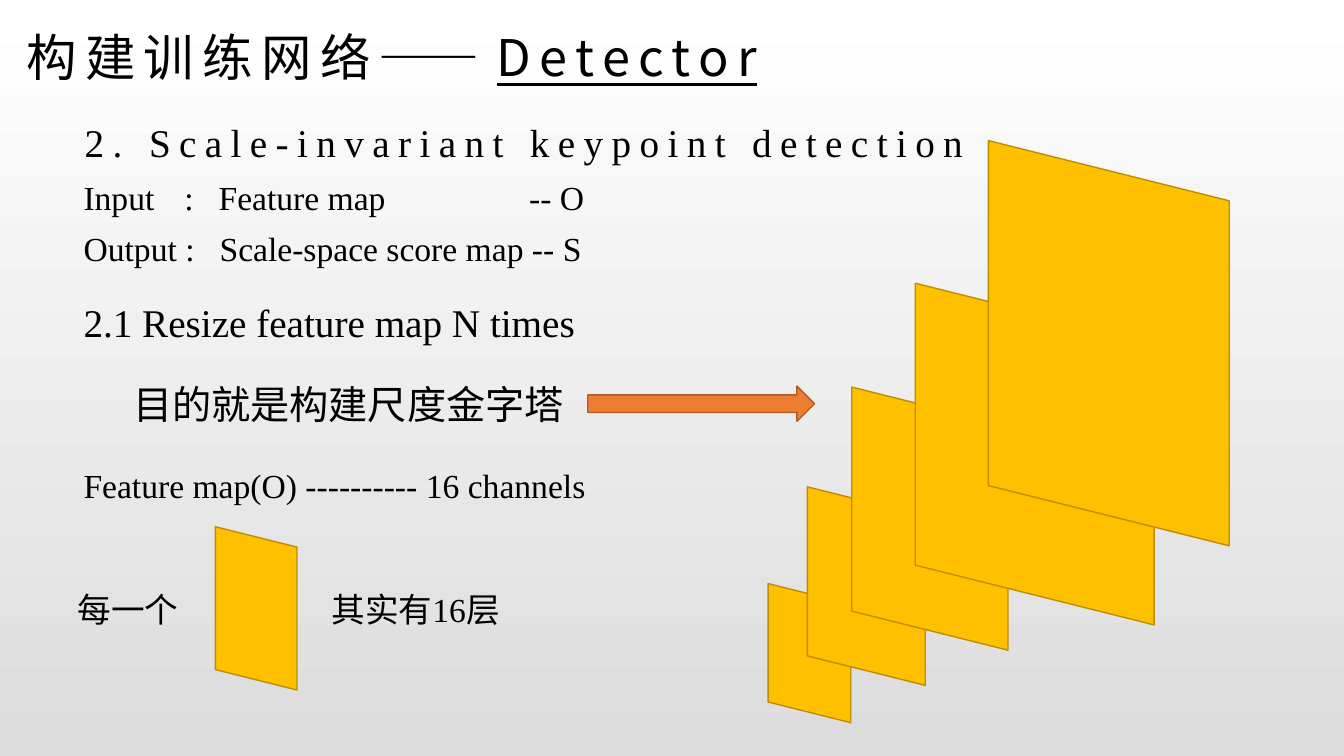
import dataclasses

import lxml.etree
import pptx
import pptx.dml.color
import pptx.enum.shapes
import pptx.enum.text
import pptx.oxml.ns
import pptx.util

COLORS = {
    "text": "000000",
    "layer": "FFC000",
    "layer edge": "BD8E00",
    "arrow": "ED7D31",
    "arrow edge": "AF5C24",
    "sky": "FFFFFF",
    "ground": "DCDCDC",
}
SANS, SERIF = "Noto Sans CJK SC", "Times New Roman"
SHAPES = pptx.enum.shapes.MSO_SHAPE


@dataclasses.dataclass
class Box:
    """A rectangle in inches."""
    left: float
    top: float
    width: float
    height: float

    def share(self, left, top, width, height):
        """Return an inner box given in percent of this one."""
        return Box(self.left + self.width * left / 100,
                   self.top + self.height * top / 100,
                   self.width * width / 100,
                   self.height * height / 100)

    def turned(self):
        """Return the box that covers this one after a quarter turn."""
        shift = (self.width - self.height) / 2
        return Box(self.left + shift, self.top - shift, self.height, self.width)

    def lengths(self):
        return [pptx.util.Inches(value) for value in dataclasses.astuple(self)]


def rgb(name):
    return pptx.dml.color.RGBColor.from_string(COLORS[name])


def add_child(parent, tag, **attributes):
    return lxml.etree.SubElement(parent, pptx.oxml.ns.qn(tag), attributes)


def add_text(slide, box, texts, size, font=SERIF, spacing=0, tabs=(), line=1.0,
             margins=(0.1, 0.05)):
    """Write one paragraph, one run per text; return the runs."""
    frame = slide.shapes.add_textbox(*box.lengths()).text_frame
    frame.word_wrap = True
    frame.vertical_anchor = pptx.enum.text.MSO_ANCHOR.TOP
    frame.margin_left = pptx.util.Inches(margins[0])
    frame.margin_top = frame.margin_bottom = pptx.util.Inches(margins[1])
    para = frame.paragraphs[0]
    para.line_spacing = line
    if tabs:
        stops = add_child(para._p.get_or_add_pPr(), "a:tabLst")
        for tab in tabs:
            add_child(stops, "a:tab", pos=str(pptx.util.Inches(tab)), algn="l")
    spans = []
    for text in texts:
        span = para.add_run()
        span.text = text
        span.font.size = pptx.util.Pt(size)
        span.font.name = font
        span.font.color.rgb = rgb("text")
        properties = span._r.get_or_add_rPr()
        add_child(properties, "a:ea", typeface=SANS)
        if spacing:
            properties.set("spc", str(spacing * 100))
        spans.append(span)
    return spans


def add_shape(slide, kind, box, color):
    shape = slide.shapes.add_shape(kind, *box.lengths())
    shape.shadow.inherit = False
    shape.fill.solid()
    shape.fill.fore_color.rgb = rgb(color)
    shape.line.color.rgb = rgb(color + " edge")
    shape.line.width = pptx.util.Pt(1)
    return shape


def add_layer(slide, box):
    """Draw a sheet in perspective: a parallelogram on its side."""
    add_shape(slide, SHAPES.PARALLELOGRAM, box.turned(), "layer").rotation = 90


def paint_background(slide):
    fill = slide.background.fill
    fill.gradient()
    fill.gradient_angle = 270
    for stop, name in zip(fill.gradient_stops, ("sky", "ground")):
        stop.color.rgb = rgb(name)


def add_header(slide, box):
    margins = (0.11, 0.04)
    spans = add_text(slide, box.share(0, 0, 95.34, 50),
                     ["构建训练网络——", "Detector"], 36, SANS,
                     spacing=6, line=0.9, margins=margins)
    spans[1].font.underline = True
    add_text(slide, box.share(4.66, 50, 95.34, 50),
             ["2. Scale-invariant keypoint detection"], 28,
             spacing=6, margins=margins)


def add_notes(slide, box):
    # left and top in percent, text, size, tab stops in inches
    lines = [
        (0, 0, "Input\t:\tFeature map\t-- O", 24, (1, 1.34, 4.42)),
        (0, 14.93, "Output :\tScale-space score map -- S", 24, (1.35,)),
        (0, 35.82, "2.1 Resize feature map N times", 28, ()),
        (6.68, 60, "目的就是构建尺度金字塔", 28, ()),
        (0, 85.07, "Feature map(O) ---------- 16 channels", 24, ()),
    ]
    for left, top, text, size, tabs in lines:
        add_text(slide, box.share(left, top, 100 - left, 15), [text], size, tabs=tabs)
    # Arrow towards the pyramid
    add_shape(slide, SHAPES.RIGHT_ARROW,
              box.share(69.48, 63.28, 30.65, 10.45), "arrow")


def add_pyramid(slide, box):
    # From the smallest scale at the back to the largest in front
    for layer in [(0, 76.1, 17.92, 23.9),
                  (8.52, 59.48, 25.57, 34.11),
                  (18.14, 42.34, 33.88, 45.19),
                  (31.91, 24.5, 51.8, 58.7),
                  (47.76, 0, 52.24, 69.61)]:
        add_layer(slide, box.share(*layer))


def add_example(slide, box):
    add_layer(slide, box.share(19.96, 0, 11.04, 100))
    add_text(slide, box.share(0, 34.88, 100, 31), ["每一个\t其实有16层"], 24,
             tabs=(2.52,))


def main():
    deck = pptx.Presentation()
    page = Box(0, 0, 13.33, 7.5)
    deck.slide_width = pptx.util.Inches(page.width)
    deck.slide_height = pptx.util.Inches(page.height)
    slide = deck.slides.add_slide(deck.slide_layouts[6])
    paint_background(slide)
    add_header(slide, page.share(1.13, 3.87, 93.4, 22.4))
    add_notes(slide, page.share(5.48, 22.8, 55.06, 44.67))
    add_pyramid(slide, page.share(57.15, 18.6, 34.31, 77))
    add_example(slide, page.share(5.03, 69.67, 55.06, 21.6))
    deck.save("out.pptx")


if __name__ == "__main__":
    main()
